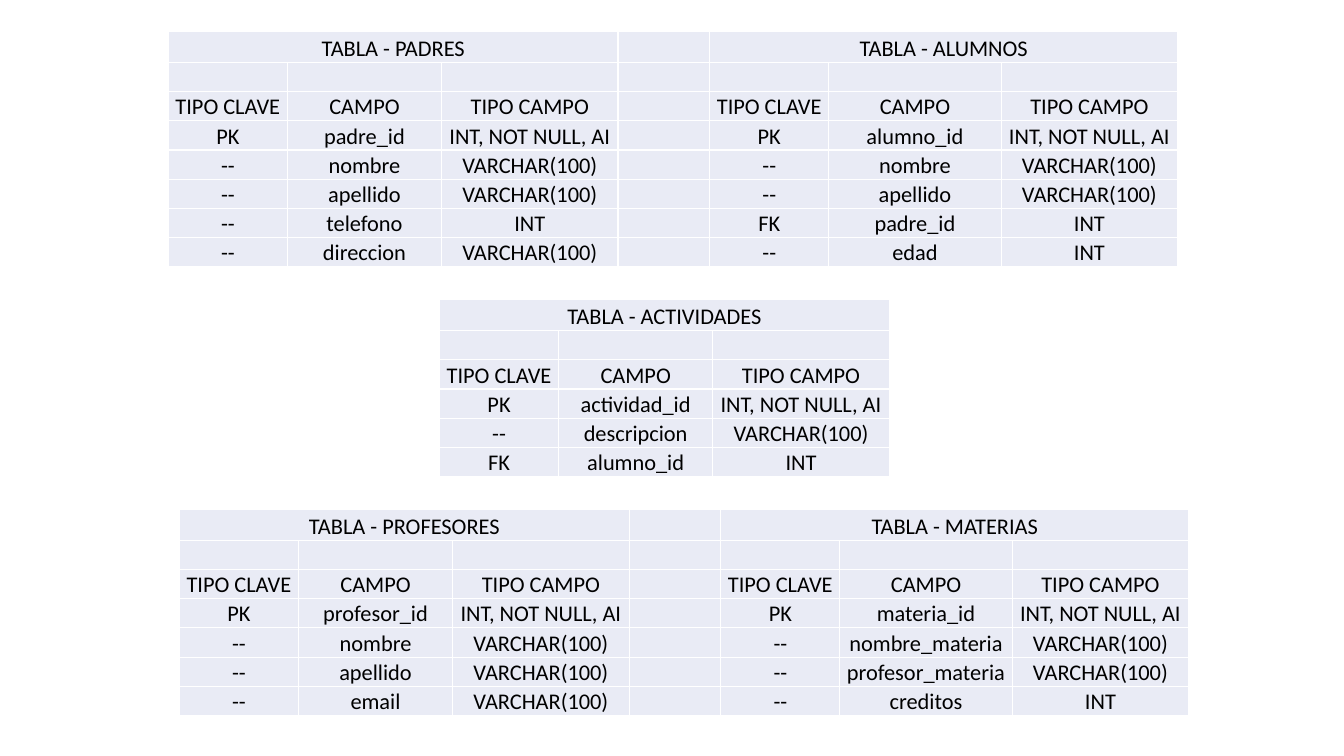
"""Builds a slide with the database tables of a school."""
from lxml import etree
from pptx import Presentation
from pptx import util as u
from pptx.dml.color import RGBColor
from pptx.enum import text
from pptx.oxml.ns import qn


def color(hex_value):
    return RGBColor.from_string(hex_value)


def add_border(cell, side, hex_value):
    line = etree.SubElement(cell._tc.get_or_add_tcPr(), qn(f"a:{side}"), w=str(u.Pt(1)))
    fill = etree.SubElement(line, qn("a:solidFill"))
    etree.SubElement(fill, qn("a:srgbClr"), val=hex_value)


AUTO, TEXT, NUMBER = "INT, NOT NULL, AI", "VARCHAR(100)", "INT"
padres = ("PADRES", [
    ("PK", "padre_id", AUTO),
    ("--", "nombre", TEXT),
    ("--", "apellido", TEXT),
    ("--", "telefono", NUMBER),
    ("--", "direccion", TEXT),
])
alumnos = ("ALUMNOS", [
    ("PK", "alumno_id", AUTO),
    ("--", "nombre", TEXT),
    ("--", "apellido", TEXT),
    ("FK", "padre_id", NUMBER),
    ("--", "edad", NUMBER),
])
actividades = ("ACTIVIDADES", [
    ("PK", "actividad_id", AUTO),
    ("--", "descripcion", TEXT),
    ("FK", "alumno_id", NUMBER),
])
profesores = ("PROFESORES", [
    ("PK", "profesor_id", AUTO),
    ("--", "nombre", TEXT),
    ("--", "apellido", TEXT),
    ("--", "email", TEXT),
])
materias = ("MATERIAS", [
    ("PK", "materia_id", AUTO),
    ("--", "nombre_materia", TEXT),
    ("--", "profesor_materia", TEXT),
    ("--", "creditos", NUMBER),
])
groups = [
    (1.67, 0.31, [padres, alumnos]),
    (4.36, 2.97, [actividades]),
    (1.78, 5.05, [profesores, materias]),
]
column_widths = [1.18, 1.53, 1.75, 0.91, 1.18, 1.71, 1.75]
title_height, row_height = 0.31, 0.29
cell_format = {
    "margin_left": u.Inches(0.01),
    "margin_right": u.Inches(0.01),
    "margin_top": u.Inches(0.01),
    "margin_bottom": 0,
    "vertical_anchor": text.MSO_ANCHOR.BOTTOM,
}
font_format = {"name": "Calibri", "size": u.Pt(16), "bold": False}

prs = Presentation()
prs.slide_width, prs.slide_height = u.Inches(13.33), u.Inches(7.5)
slide = prs.slides.add_slide(prs.slide_layouts[6])

for left, top, entities in groups:
    row_count = 3 + len(entities[0][1])
    widths = column_widths[:4 * len(entities) - 1]
    height = title_height + row_height * (row_count - 1)
    grid = slide.shapes.add_table(
        row_count, len(widths), u.Inches(left), u.Inches(top),
        u.Inches(sum(widths)), u.Inches(height)).table
    grid.first_row = grid.horz_banding = False
    for column, width in zip(grid.columns, widths):
        column.width = u.Inches(width)
    for index, row in enumerate(grid.rows):
        row.height = u.Inches(row_height if index else title_height)

    wording = {}
    for position, (title, fields) in enumerate(entities):
        first = 4 * position
        grid.cell(0, first).merge(grid.cell(0, first + 2))
        wording[0, first] = f"TABLA - {title}"
        headings = ("TIPO CLAVE", "CAMPO", "TIPO CAMPO")
        for r, values in enumerate([headings, *fields], start=2):
            for c, value in enumerate(values, start=first):
                wording[r, c] = value

    for r in range(row_count):
        for c in range(len(widths)):
            cell = grid.cell(r, c)
            for name, value in cell_format.items():
                setattr(cell, name, value)
            for side in ("lnL", "lnR", "lnT", "lnB"):
                add_border(cell, side, "FFFFFF")
            cell.fill.solid()
            cell.fill.fore_color.rgb = color("E9EBF5")
            paragraph = cell.text_frame.paragraphs[0]
            paragraph.alignment = text.PP_ALIGN.CENTER
            if (r, c) in wording:
                run = paragraph.add_run()
                run.text = wording[r, c]
                for name, value in font_format.items():
                    setattr(run.font, name, value)
                run.font.color.rgb = color("000000")
            else:
                etree.SubElement(paragraph._p, qn("a:endParaRPr"), sz="1600")

prs.save("out.pptx")
